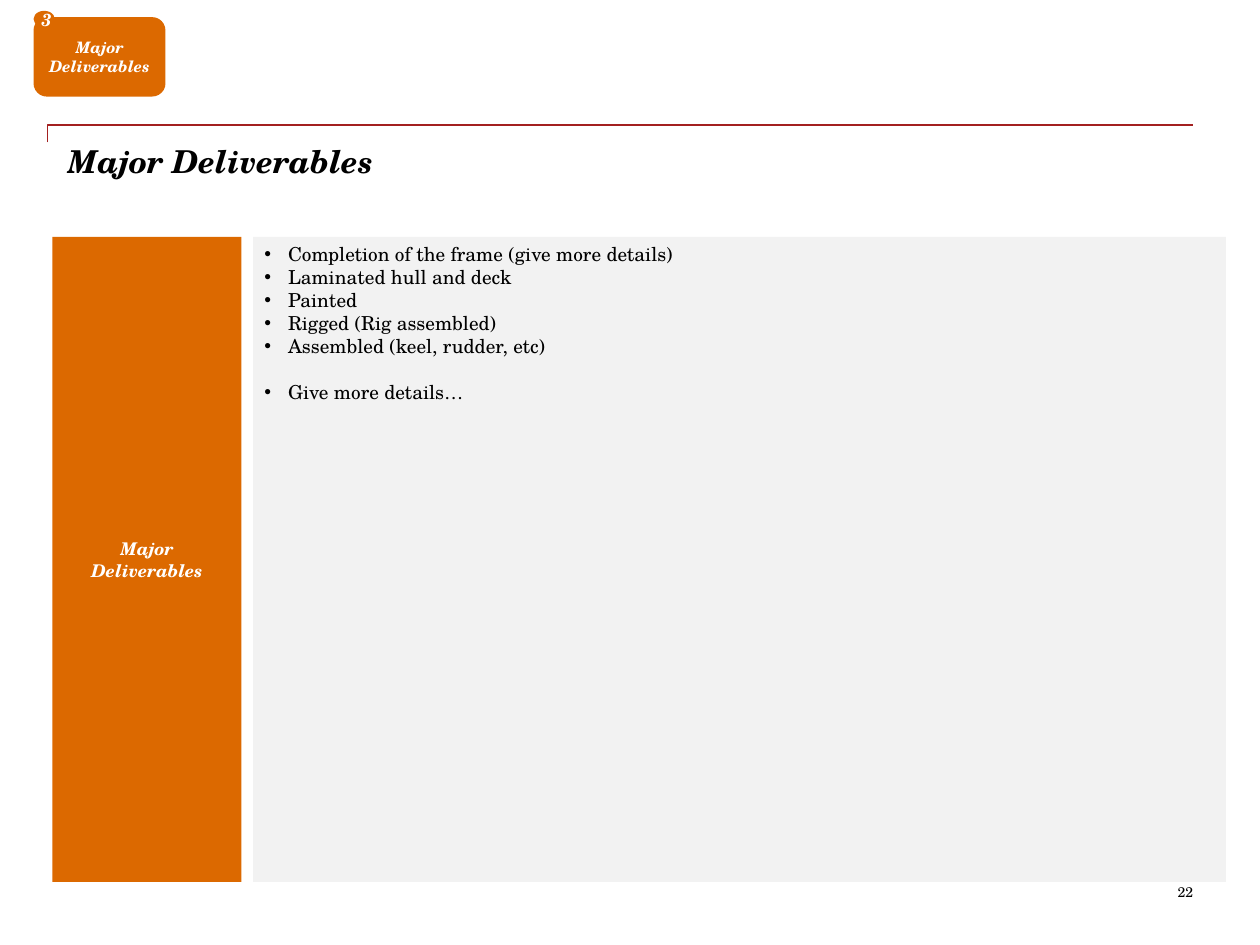
from lxml import etree
from pptx import Presentation
from pptx.dml.color import RGBColor
from pptx.enum.shapes import MSO_CONNECTOR, MSO_SHAPE
from pptx.enum.text import MSO_ANCHOR, PP_ALIGN
from pptx.oxml.ns import qn
from pptx.util import Pt

RECTANGLE, ROUNDED, OVAL = MSO_SHAPE.RECTANGLE, MSO_SHAPE.ROUNDED_RECTANGLE, MSO_SHAPE.OVAL
ELBOW = MSO_CONNECTOR.ELBOW
TOP, MIDDLE = MSO_ANCHOR.TOP, MSO_ANCHOR.MIDDLE
LEFT, CENTER, RIGHT = PP_ALIGN.LEFT, PP_ALIGN.CENTER, PP_ALIGN.RIGHT

FONT = "TeX Gyre Schola"
ORANGE, GREY, RED, BLACK, WHITE = "DC6900", "F2F2F2", "A32020", "000000", "FFFFFF"
LINE_HEIGHT = 13.2
DELIVERABLES = [
    "Completion of the frame (give more details)",
    "Laminated hull and deck",
    "Painted",
    "Rigged (Rig assembled)",
    "Assembled (keel, rudder, etc)",
]
FURTHER_DETAILS = "Give more details…"


def color(value):
    """Turn a hex string into a colour."""
    return RGBColor.from_string(value)


def write_text(shape, lines, size, ink, align=LEFT, anchor=TOP, insets=(0, 0), wrap=True, **font_format):
    """Write one paragraph per line and return the paragraphs."""
    frame = shape.text_frame
    horizontal, vertical = map(Pt, insets)
    frame_format = {
        "word_wrap": wrap, "vertical_anchor": anchor,
        "margin_left": horizontal, "margin_right": horizontal,
        "margin_top": vertical, "margin_bottom": vertical,
    }
    for name, value in frame_format.items():
        setattr(frame, name, value)
    frame.text = "\n".join(lines)
    for paragraph in frame.paragraphs:
        paragraph.alignment = align
        font = paragraph.runs[0].font
        font.color.rgb = color(ink)
        for name, value in {"name": FONT, "size": Pt(size), **font_format}.items():
            setattr(font, name, value)
    return frame.paragraphs


def add_panel(slide, kind, box, fill):
    """Add a filled shape without outline or shadow."""
    shape = slide.shapes.add_shape(kind, *map(Pt, box))
    shape.shadow.inherit = False
    shape.fill.solid()
    shape.fill.fore_color.rgb = color(fill)
    shape.line.fill.background()
    return shape


def add_label(slide, kind, box, lines, size):
    """Add an orange shape with a centred bold italic label."""
    shape = add_panel(slide, kind, box, ORANGE)
    write_text(shape, lines, size, WHITE, CENTER, MIDDLE, (5.8, 2.9), bold=True, italic=True)


def add_bullet(paragraph, indent):
    """Give a paragraph a hanging bullet."""
    properties = paragraph._p.get_or_add_pPr()
    properties.set("marL", str(Pt(indent)))
    properties.set("indent", str(Pt(-indent)))
    etree.SubElement(properties, qn("a:buFont")).set("typeface", "Arial")
    etree.SubElement(properties, qn("a:buChar")).set("char", "•")


def add_title(slide, box):
    """Add the red elbow rule and the title below it."""
    left, top, width, height = box
    rule_drop, text_indent = 10, 11.5
    rule = slide.shapes.add_connector(
        ELBOW, Pt(left), Pt(top + rule_drop), Pt(left + width), Pt(top))
    rule.line.color.rgb = color(RED)
    rule.line.width = Pt(0.75)
    etree.SubElement(rule._element.spPr, qn("a:effectLst"))
    adjustments = rule._element.spPr.find(qn("a:prstGeom")).get_or_add_avLst()
    guide = etree.SubElement(adjustments, qn("a:gd"))
    guide.set("name", "adj1")
    guide.set("fmla", "val 0")
    title = slide.shapes.add_textbox(
        Pt(left + text_indent), Pt(top + rule_drop), Pt(width - text_indent), Pt(height - rule_drop))
    write_text(title, ["Major Deliverables"], 18, BLACK, bold=True, italic=True)


def add_deliverables(slide, box):
    """Add the heading column and the bulleted panel beside it."""
    left, top, width, height = box
    heading_width, gap = 108, 6.6
    offset = heading_width + gap
    add_label(slide, RECTANGLE, (left, top, heading_width, height), ["Major", "Deliverables"], 10)
    panel = add_panel(slide, RECTANGLE, (left + offset, top, width - offset, height), GREY)
    paragraphs = write_text(panel, [*DELIVERABLES, FURTHER_DETAILS], 11, BLACK, insets=(6.5, 2.9))
    paragraphs[-1].space_before = Pt(LINE_HEIGHT)
    for paragraph in paragraphs:
        add_bullet(paragraph, 13.5)


def add_section_tag(slide, box):
    """Add the section tag with its number at the top left corner."""
    left, top, width, height = box
    badge_width, badge_height, overlap = 12.2, 9.4, 5.8
    add_label(slide, ROUNDED, (left, top, width, height), ["Major Deliverables"], 9)
    add_label(slide, OVAL, (left, top + overlap - badge_height, badge_width, badge_height), ["3"], 10)


def add_page_number(slide, box):
    """Add the right-aligned page number."""
    number = slide.shapes.add_textbox(*map(Pt, box))
    write_text(number, ["22"], 8, BLACK, RIGHT, wrap=False)


def main():
    """Build and save the slide."""
    presentation = Presentation()
    presentation.slide_width, presentation.slide_height = Pt(720), Pt(540)
    slide = presentation.slides.add_slide(presentation.slide_layouts[6])
    add_title(slide, (27.2, 71.4, 654.5, 73.5))
    add_deliverables(slide, (30, 135.4, 670.5, 368.6))
    add_section_tag(slide, (19.2, 9.8, 75.4, 45.4))
    add_page_number(slide, (672.4, 504.8, 9.4, 9.4))
    presentation.save("out.pptx")


if __name__ == "__main__":
    main()
